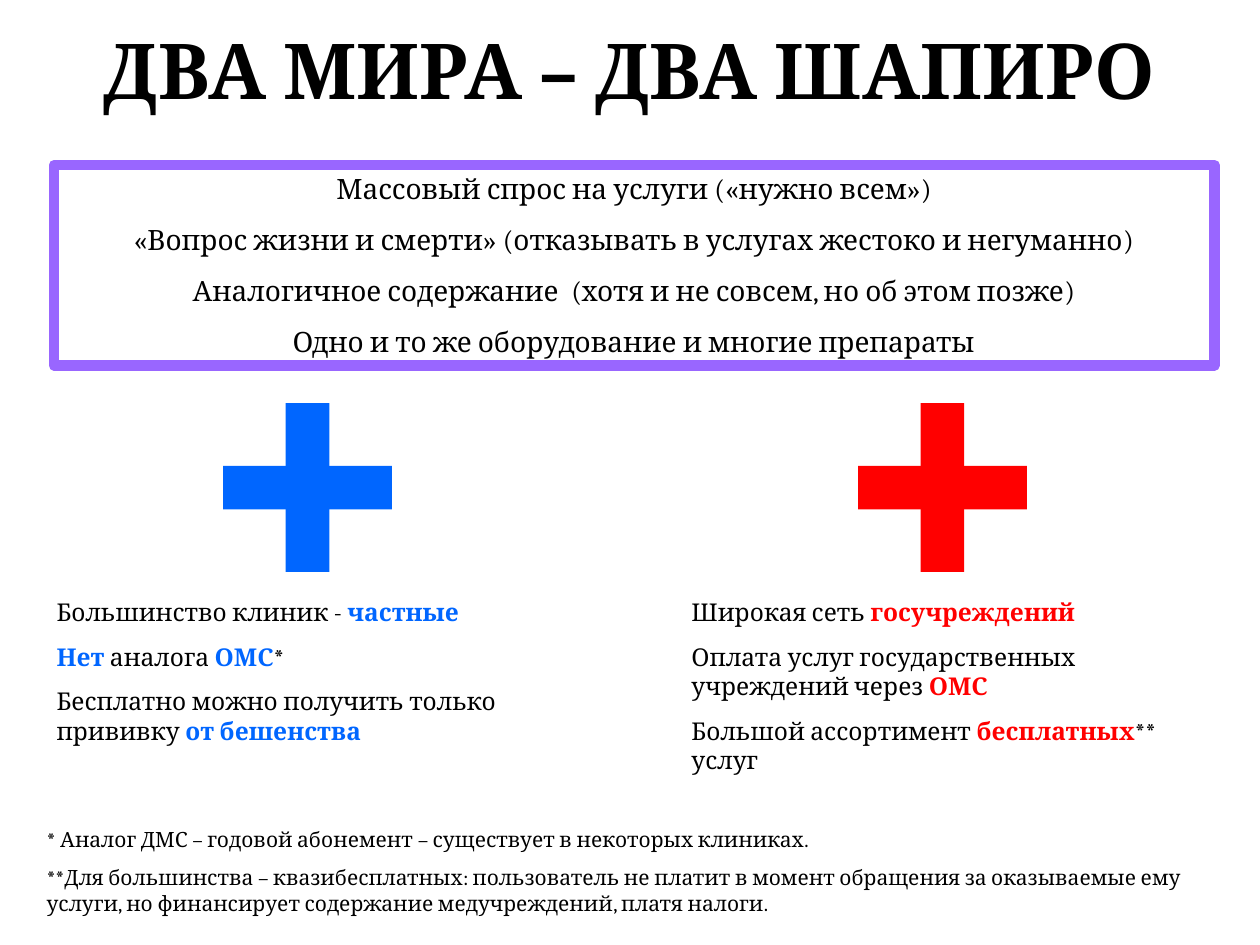
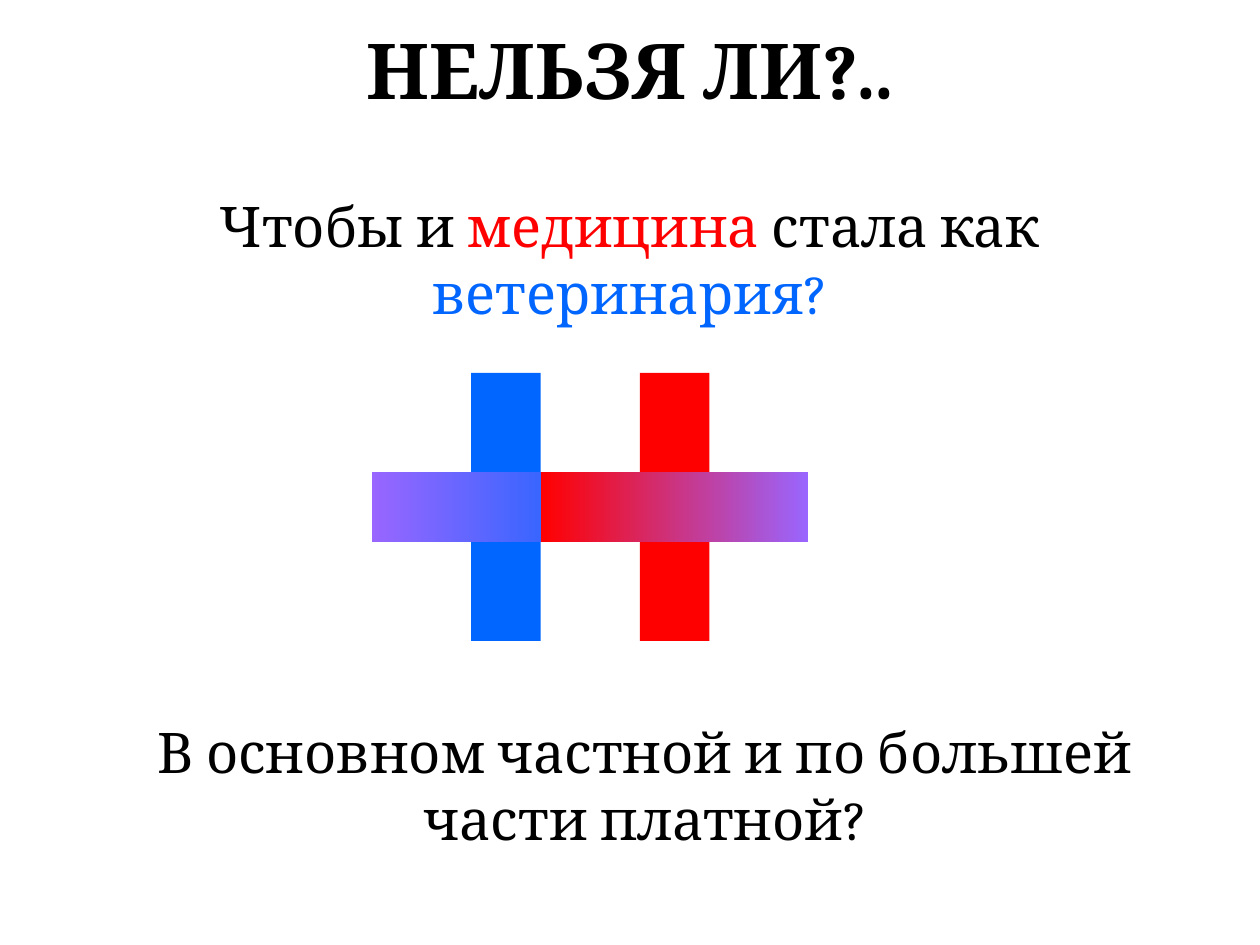
from dataclasses import dataclass

import pptx
import pptx.dml.color
import pptx.enum.shapes
import pptx.enum.text
import pptx.util

Cm = pptx.util.Cm
Align = pptx.enum.text.PP_ALIGN


def rgb(code):
    return pptx.dml.color.RGBColor.from_string(code)


@dataclass(frozen=True)
class Theme:
    font: str = "Cambria"
    text: str = "000000"
    veterinary: str = "0066FF"
    medicine: str = "FF0000"
    shared: str = "9966FF"
    title_size: int = 44
    question_size: int = 32
    common_size: int = 16
    column_size: int = 14
    note_size: int = 12
    space_ratio: float = 0.625  # space before a paragraph, in font sizes
    frame_width: int = 6


class Deck:
    """Holds the presentation, its theme and the slide being built."""

    def __init__(self, theme):
        self.theme = theme
        self.presentation = pptx.Presentation()
        self.presentation.slide_width = Cm(25.4)
        self.presentation.slide_height = Cm(19.05)
        self.slide = None

    def new_slide(self, title):
        blank = self.presentation.slide_layouts[6]
        self.slide = self.presentation.slides.add_slide(blank)
        self.text((0, 0.33, 25.4, 2.13), [title], self.theme.title_size,
                  Align.CENTER, bold=True)

    def text(self, box, paragraphs, size, align=Align.LEFT, accent=None, bold=False):
        shape = self.slide.shapes.add_textbox(*map(Cm, box))
        self.fill_text(shape, paragraphs, size, align, accent, bold)

    def fill_text(self, shape, paragraphs, size, align, accent=None, bold=False):
        """Fill a shape; a paragraph is a string or a list of strings and
        (string, colour) pairs. Runs in the accent colour are bold."""
        frame = shape.text_frame
        frame_format = {
            "word_wrap": True,
            "auto_size": pptx.enum.text.MSO_AUTO_SIZE.SHAPE_TO_FIT_TEXT,
            "vertical_anchor": pptx.enum.text.MSO_ANCHOR.TOP,
        }
        for name, value in frame_format.items():
            setattr(frame, name, value)
        for index, pieces in enumerate(paragraphs):
            paragraph = frame.add_paragraph() if index else frame.paragraphs[0]
            paragraph.alignment = align
            paragraph.space_before = pptx.util.Pt(size * self.theme.space_ratio)
            for piece in [pieces] if isinstance(pieces, str) else pieces:
                words, colour = (piece, self.theme.text) if isinstance(piece, str) else piece
                run = paragraph.add_run()
                run.text = words
                run.font.color.rgb = rgb(colour)
                font_format = {
                    "name": self.theme.font,
                    "size": pptx.util.Pt(size),
                    "bold": bold or colour == accent,
                }
                for name, value in font_format.items():
                    setattr(run.font, name, value)

    def rectangle(self, box):
        shape = self.slide.shapes.add_shape(
            pptx.enum.shapes.MSO_SHAPE.RECTANGLE, *map(Cm, box))
        shape.shadow.inherit = False
        return shape

    def frame(self, box, paragraphs, size):
        shape = self.rectangle(box)
        shape.fill.background()
        shape.line.color.rgb = rgb(self.theme.shared)
        shape.line.width = pptx.util.Pt(self.theme.frame_width)
        self.fill_text(shape, paragraphs, size, Align.CENTER)

    def bar(self, center, width, height, colours):
        """Draw a bar around its centre; two colours make a left-to-right gradient."""
        x, y = center
        shape = self.rectangle((x - width / 2, y - height / 2, width, height))
        shape.line.fill.background()
        if len(colours) == 1:
            shape.fill.solid()
            shape.fill.fore_color.rgb = rgb(colours[0])
            return
        shape.fill.gradient()
        shape.fill.gradient_angle = 0
        for stop, colour in zip(shape.fill.gradient_stops, colours):
            stop.color.rgb = rgb(colour)

    def cross(self, center, length, thickness, colour, across=None):
        self.bar(center, thickness, length, [colour])
        self.bar(center, length, thickness, across or [colour])


def build_two_worlds(deck):
    theme = deck.theme
    blue, red = theme.veterinary, theme.medicine
    deck.new_slide("ДВА МИРА – ДВА ШАПИРО")
    deck.frame((1.09, 3.33, 23.39, 4.04), [
        "Массовый спрос на услуги («нужно всем»)",
        "«Вопрос жизни и смерти» (отказывать в услугах жестоко и негуманно)",
        "Аналогичное содержание  (хотя и не совсем, но об этом позже)",
        "Одно и то же оборудование и многие препараты",
    ], theme.common_size)

    columns = [
        (blue, 3.25, [
            ["Большинство клиник - ", ("частные", blue)],
            [("Нет ", blue), "аналога", (" ОМС", blue), "*"],
            ["Бесплатно можно получить только прививку ", ("от бешенства", blue)],
        ]),
        (red, 3.84, [
            ["Широкая сеть ", ("госучреждений", red)],
            ["Оплата услуг государственных учреждений через ", ("ОМС", red)],
            ["Большой ассортимент ", ("бесплатных", red), "** услуг"],
        ]),
    ]
    for index, (colour, height, paragraphs) in enumerate(columns):
        left = 0.89 + 12.8 * index
        deck.cross((left + 5.31, 9.83), 3.4, 0.88, colour)
        deck.text((left, 11.91, 10.8, height), paragraphs,
                  theme.column_size, accent=colour)

    deck.text((0.69, 16.54, 24.2, 2.06), [
        "* Аналог ДМС – годовой абонемент – существует в некоторых клиниках.",
        "**Для большинства – квазибесплатных: пользователь не платит в момент "
        "обращения за оказываемые ему услуги, но финансирует содержание "
        "медучреждений, платя налоги.",
    ], theme.note_size)


def build_question(deck):
    theme = deck.theme
    blue, red, purple = theme.veterinary, theme.medicine, theme.shared
    deck.new_slide("НЕЛЬЗЯ ЛИ?..")
    crosses = [(10.2, blue, [purple, blue]), (13.6, red, [red, purple])]
    for x, colour, across in crosses:
        deck.cross((x, 10.22), 5.4, 1.4, colour, across)
    deck.text((1.09, 3.73, 23.22, 2.97), [
        ["Чтобы и ", ("медицина ", red), "стала как ", ("ветеринария?", blue)],
    ], theme.question_size, Align.CENTER)
    deck.text((2.11, 14.33, 21.8, 2.97),
              ["В основном частной и по большей части платной?"],
              theme.question_size, Align.CENTER)


def main():
    deck = Deck(Theme())
    build_two_worlds(deck)
    build_question(deck)
    deck.presentation.save("out.pptx")


if __name__ == "__main__":
    main()
